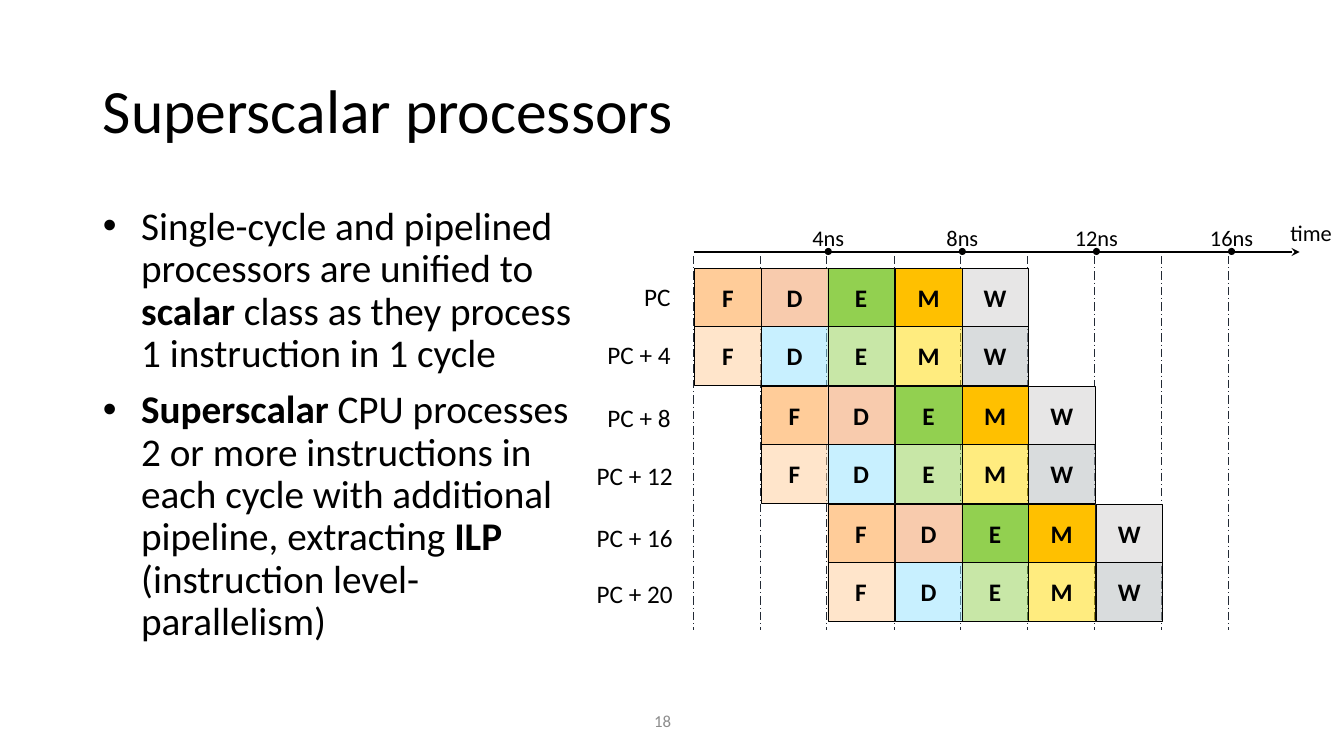
"""Build the slide on superscalar processors."""
import pptx
import pptx.dml.color
import pptx.enum.dml
import pptx.enum.shapes
import pptx.enum.text
import pptx.oxml
import pptx.oxml.ns
import pptx.util

PX = 9144
RGB = pptx.dml.color.RGBColor
BLACK = RGB(0x00, 0x00, 0x00)
GREY = RGB(0x8C, 0x8C, 0x8C)
NAVY = RGB(0x22, 0x2A, 0x35)
ORANGE = RGB(0xFF, 0xCC, 0x99)
PEACH = RGB(0xF8, 0xCB, 0xAD)
GREEN = RGB(0x92, 0xD0, 0x50)
GOLD = RGB(0xFF, 0xC0, 0x00)
SILVER = RGB(0xE7, 0xE6, 0xE6)
SKY = RGB(0x93, 0xE2, 0xFF)
YELLOW = RGB(0xFF, 0xDA, 0x00)
STEEL = RGB(0xB4, 0xBA, 0xBD)

ALIGN = pptx.enum.text.PP_ALIGN
ANCHOR = pptx.enum.text.MSO_ANCHOR
SHAPE = pptx.enum.shapes.MSO_SHAPE
DASH = pptx.enum.dml.MSO_LINE

STAGES = "FDEMW"
FIRST = [ORANGE, PEACH, GREEN, GOLD, SILVER]
SECOND = [ORANGE, SKY, GREEN, YELLOW, STEEL]
ROWS = [
    ("PC", 579, 274),
    ("PC + 4", 579, 332),
    ("PC + 8", 579, 394),
    ("PC + 12", 581, 452),
    ("PC + 16", 581, 513),
    ("PC + 20", 581, 569),
]
POINTS = [
    [("Single-cycle and pipelined processors are unified to ", False),
     ("scalar ", True),
     ("class as they process 1 instruction in 1 cycle", False)],
    [("Superscalar ", True),
     ("CPU processes 2 or more instructions in each cycle with additional "
      "pipeline, extracting ", False),
     ("ILP ", True),
     ("(instruction level-parallelism)", False)],
]


def px(*sizes):
    return [size * PX for size in sizes]


def node(parent, tag, **attrs):
    child = pptx.oxml.parse_xml(f"<a:{tag} {pptx.oxml.ns.nsdecls('a')}/>")
    for key, value in attrs.items():
        child.set(key, value)
    parent.append(child)
    return child


def add_run(para, text, size, color=BLACK, bold=False):
    run = para.add_run()
    run.text = text
    run.font.name = "Calibri"
    run.font.size = pptx.util.Pt(size)
    run.font.bold = bold
    run.font.color.rgb = color


def add_label(slide, text, box, size, align=ALIGN.LEFT, anchor=ANCHOR.TOP,
              wrap=False, color=BLACK):
    frame = slide.shapes.add_textbox(*px(*box)).text_frame
    frame.word_wrap = wrap
    frame.vertical_anchor = anchor
    para = frame.paragraphs[0]
    para.alignment = align
    add_run(para, text, size, color)


def add_line(slide, start, end, color, width):
    line = slide.shapes.add_connector(
        pptx.enum.shapes.MSO_CONNECTOR.STRAIGHT, *px(*start, *end))
    line.line.color.rgb = color
    line.line.width = pptx.util.Pt(width)
    node(line.element.spPr, "effectLst")
    return line


def add_solid(slide, kind, box, color):
    shape = slide.shapes.add_shape(kind, *px(*box))
    shape.shadow.inherit = False
    shape.fill.solid()
    shape.fill.fore_color.rgb = color
    return shape


def add_stage(slide, name, box, color, clear):
    cell = add_solid(slide, SHAPE.RECTANGLE, box, color)
    if clear:
        tint = cell.element.spPr.find(".//" + pptx.oxml.ns.qn("a:srgbClr"))
        node(tint, "alpha", val="50000")
    cell.line.color.rgb = BLACK
    cell.line.width = pptx.util.Pt(0.25)
    frame = cell.text_frame
    frame.word_wrap = False
    frame.vertical_anchor = ANCHOR.MIDDLE
    para = frame.paragraphs[0]
    para.alignment = ALIGN.CENTER
    add_run(para, name, 18, bold=True)


def add_axis(slide):
    axis = add_line(slide, (688, 250), (1289, 250), BLACK, 1.5)
    node(axis.line._get_or_add_ln(), "tailEnd", type="stealth")
    add_label(slide, "time", (1270, 213, 62, 37), 16)
    for step in range(4):
        mid = 822 + 400 * step // 3
        dot = add_solid(slide, SHAPE.OVAL, (mid - 4, 246, 7, 7), BLACK)
        dot.line.fill.background()
        add_label(slide, f"{4 * step + 4}ns", (mid - 32, 217, 63, 37), 16,
                  ALIGN.CENTER)
    for step in range(9):
        left = 688 + 199 * step // 3
        guide = add_line(slide, (left, 254), (left, 625), NAVY, 0.75)
        guide.line.dash_style = DASH.LONG_DASH_DOT


def add_row(slide, row, name, left, top):
    add_label(slide, name, (left, top, 96, 40), 18, ALIGN.RIGHT,
              ANCHOR.MIDDLE, True)
    clear = row % 2 == 1
    colors = SECOND if clear else FIRST
    for step, (stage, color) in enumerate(zip(STAGES, colors)):
        col = row // 2 + step
        box = (689 + 199 * col // 3, 266 + 117 * row // 2, 66, 58)
        add_stage(slide, stage, box, color, clear)


def place(holder, box, anchor):
    holder.left, holder.top, holder.width, holder.height = px(*box)
    frame = holder.text_frame
    frame.auto_size = pptx.enum.text.MSO_AUTO_SIZE.NONE
    frame.word_wrap = True
    frame.vertical_anchor = anchor
    return frame


def fill_title(slide):
    frame = place(slide.shapes.title, (92, 40, 1150, 145), ANCHOR.MIDDLE)
    para = frame.paragraphs[0]
    para.alignment = ALIGN.LEFT
    para.line_spacing = 0.9
    add_run(para, "Superscalar processors", 44)


def fill_body(slide):
    frame = place(slide.placeholders[1], (92, 200, 496, 452), ANCHOR.TOP)
    for rank, runs in enumerate(POINTS):
        para = frame.add_paragraph() if rank else frame.paragraphs[0]
        props = para._p.get_or_add_pPr()
        props.set("marL", str(38 * PX))
        props.set("indent", str(-38 * PX))
        node(props, "buFont", typeface="Arial")
        node(props, "buChar", char="•")
        para.line_spacing = 0.9
        para.space_before = pptx.util.Pt(10 if rank else 0)
        for text, bold in runs:
            add_run(para, text, 28, bold=bold)


def main():
    deck = pptx.Presentation()
    deck.slide_width, deck.slide_height = px(1333, 750)
    slide = deck.slides.add_slide(deck.slide_layouts[1])
    fill_title(slide)
    fill_body(slide)
    add_axis(slide)
    for row, (name, left, top) in enumerate(ROWS):
        add_row(slide, row, name, left, top)
    add_label(slide, "18", (639, 695, 79, 40), 12, anchor=ANCHOR.MIDDLE,
              wrap=True, color=GREY)
    deck.save("out.pptx")


if __name__ == "__main__":
    main()
